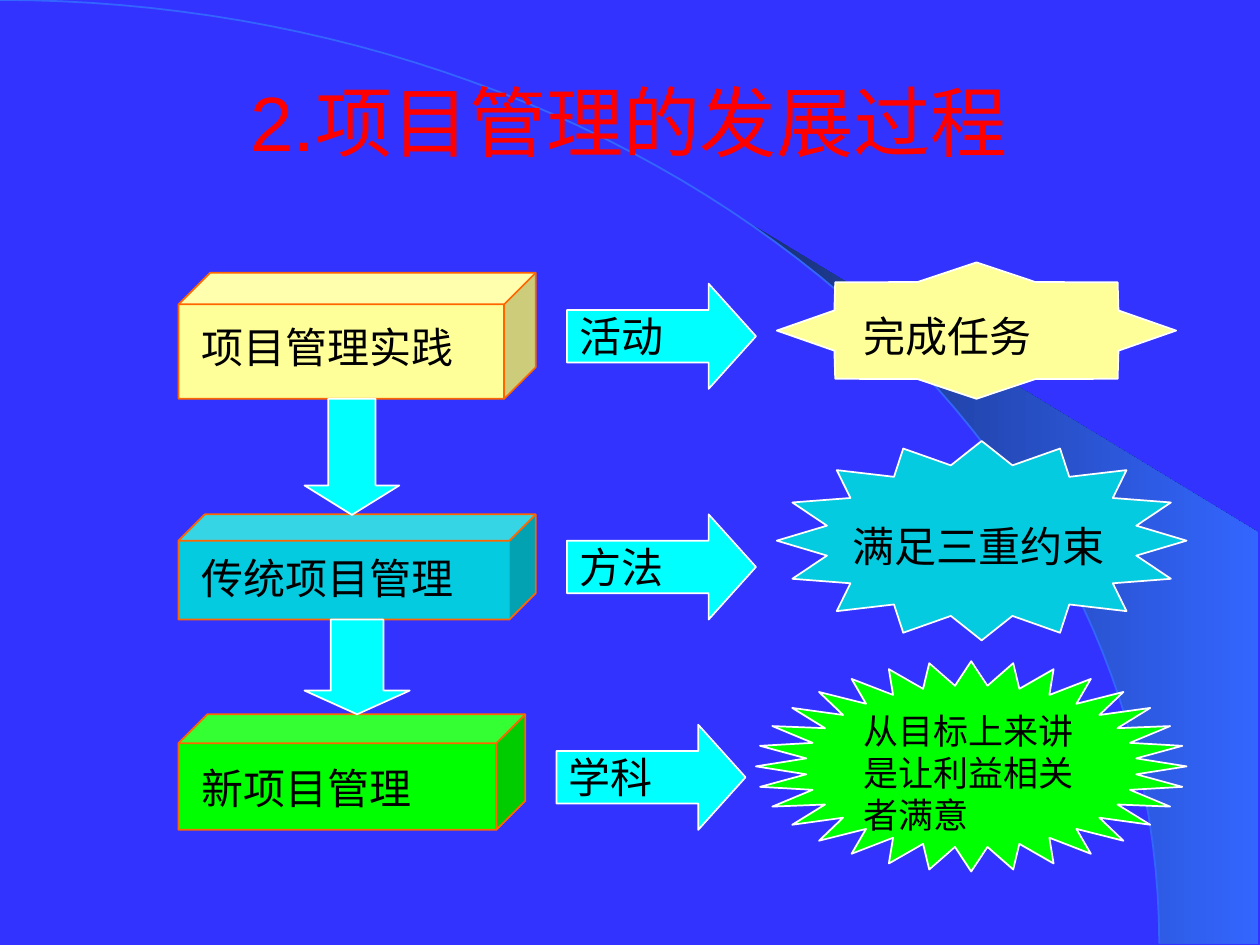
from math import cos, pi, radians, sin

from pptx import Presentation
from pptx.dml.color import RGBColor
from pptx.enum.shapes import MSO_SHAPE
from pptx.enum.text import MSO_ANCHOR, PP_ALIGN
from pptx.util import Cm, Pt

COLORS = {
    "back": "3333FF", "swoosh": "3366FF", "dark": "172F75", "title": "FF0000",
    "text": "000000", "edge": "FF6600", "white": "FFFFFF", "arrow": "00FFFF",
    "yellow": "FFFF99", "teal": "04CBE0", "green": "00FF00",
}


def rgb(name):
    return RGBColor.from_string(COLORS[name])


def ellipse_point(cx, cy, rx, ry, angle):
    return cx + rx * cos(angle), cy - ry * sin(angle)


class Deck:
    """Holds the style and the current slide, and draws each kind of element."""

    frame = {"word_wrap": True, "margin_left": Cm(0.25), "margin_right": Cm(0.25),
             "margin_top": Cm(0.13), "margin_bottom": Cm(0.13)}

    def __init__(self):
        self.prs = Presentation()
        self.prs.slide_width, self.prs.slide_height = Cm(25.4), Cm(19.05)
        self.s = self.prs.slides.add_slide(self.prs.slide_layouts[6])
        fill = self.s.background.fill
        fill.solid()
        fill.fore_color.rgb = rgb("back")

    def paint(self, sp, fill=None, line=None):
        sp.shadow.inherit = False
        if fill:
            sp.fill.solid()
            sp.fill.fore_color.rgb = rgb(fill)
        else:
            sp.fill.background()
        if line:
            sp.line.color.rgb = rgb(line)
            sp.line.width = Pt(1)
        else:
            sp.line.fill.background()
        return sp

    def text(self, text, x, y, w, h=1.27, size=24, font="Times New Roman",
             color="text", align=PP_ALIGN.LEFT, anchor=MSO_ANCHOR.TOP):
        tf = self.s.shapes.add_textbox(Cm(x), Cm(y), Cm(w), Cm(h)).text_frame
        for key, value in {**self.frame, "vertical_anchor": anchor}.items():
            setattr(tf, key, value)
        p = tf.paragraphs[0]
        p.alignment = align
        r = p.add_run()
        r.text = text
        for key, value in {"size": Pt(size), "name": font}.items():
            setattr(r.font, key, value)
        r.font.color.rgb = rgb(color)

    def shape(self, kind, box, adjustments, fill, line):
        sp = self.s.shapes.add_shape(kind, *map(Cm, box))
        for i, value in enumerate(adjustments):
            sp.adjustments[i] = value
        return self.paint(sp, fill, line)

    def outline(self, points, close=True, fill=None, line=None):
        start, *rest = [(Cm(x), Cm(y)) for x, y in points]
        builder = self.s.shapes.build_freeform(*start)
        builder.add_line_segments(rest, close=close)
        return self.paint(builder.convert_to_shape(), fill, line)

    def star(self, tips, x, y, w, h, fill):
        rx, ry = w / 2, h / 2
        points = []
        for i in range(2 * tips):
            k = 0.77 if i % 2 else 1
            points.append(ellipse_point(x + rx, y + ry, k * rx, k * ry, i * pi / tips))
        self.outline(points, fill=fill, line="white")

    def backdrop(self):
        def arc(degrees, steps=60):
            return [ellipse_point(0, 19.02, 23.37, 19.02, radians(degrees) * i / steps)
                    for i in range(steps + 1)]

        sp = self.outline(arc(50.2) + [(25.37, 10.74), (25.37, 19.02)])
        sp.fill.gradient()
        sp.fill.gradient_angle = 0
        for stop, name in zip(sp.fill.gradient_stops, ("dark", "swoosh")):
            stop.color.rgb = rgb(name)
        self.outline(arc(90), close=False, line="swoosh")


ROWS = [
    {"fill": "yellow", "cube": (3.6, 5.5, 7.2, 2.54), "stage": ("项目管理实践", 6.35),
     "arrow": ("活动", 11.43, 5.72), "star": (8, 15.66, 5.29, 8.05, 2.75),
     "goal": ("完成任务", 17.15, 6.14, 5.29)},
    {"fill": "teal", "cube": (3.6, 10.37, 7.2, 2.12), "stage": ("传统项目管理", 11),
     "arrow": ("方法", 11.43, 10.37), "star": (16, 15.66, 8.89, 8.26, 4.02),
     "goal": ("满足三重约束", 16.93, 10.37, 6.35)},
    {"fill": "green", "cube": (3.6, 14.4, 6.99, 2.33), "stage": ("新项目管理", 15.24),
     "arrow": ("学科", 11.22, 14.61), "star": (32, 15.24, 13.33, 8.68, 4.24),
     "goal": ("从目标上来讲是让利益相关者满意", 17.15, 14.18, 4.87, 2.8, 20)},
]
DOWN_ARROWS = [((6.14, 8.04, 1.91, 2.34), 0.31), ((6.14, 12.49, 2.12, 1.91), 0.25)]


def main():
    deck = Deck()
    deck.backdrop()
    deck.text("2.项目管理的发展过程", 1.9, 0.84, 21.59, 3.18, 44, "Arial", "title",
              PP_ALIGN.CENTER, MSO_ANCHOR.MIDDLE)
    for row in ROWS:
        deck.shape(MSO_SHAPE.CUBE, row["cube"], [0.25], row["fill"], "edge")
        stage, y = row["stage"]
        deck.text(stage, 3.81, y, 6.14)
        label, x, y = row["arrow"]
        deck.shape(MSO_SHAPE.RIGHT_ARROW, (x, y, 3.81, 2.12), [0.5, 0.45], "arrow", "white")
        deck.text(label, x, y + 0.42, 2.96)
        deck.star(*row["star"], row["fill"])
        deck.text(*row["goal"])
    for box, head in DOWN_ARROWS:
        deck.shape(MSO_SHAPE.DOWN_ARROW, box, [0.5, head], "arrow", "white")
    deck.prs.save("out.pptx")


if __name__ == "__main__":
    main()
